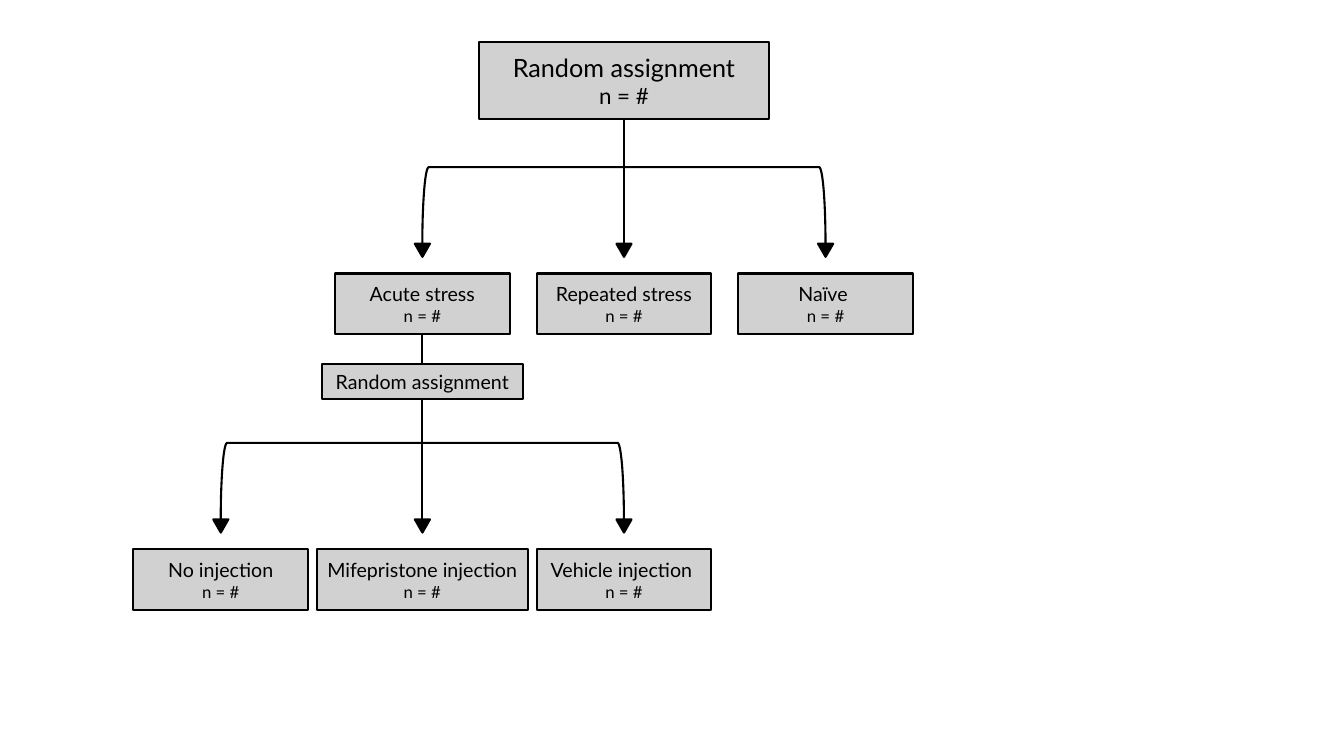
import dataclasses

import pptx
import pptx.dml.color
import pptx.enum.shapes
import pptx.enum.text
import pptx.oxml
import pptx.oxml.ns
import pptx.util

Pt = pptx.util.Pt
Shape = pptx.enum.shapes.MSO_SHAPE


@dataclasses.dataclass(frozen=True)
class Theme:
    """Colours, font, line width and type sizes of the chart."""
    ink: pptx.dml.color.RGBColor = pptx.dml.color.RGBColor(0, 0, 0)
    panel: pptx.dml.color.RGBColor = pptx.dml.color.RGBColor(0xD1, 0xD1, 0xD1)
    font: str = "Lato"
    line: float = 1.5
    root_sizes: tuple = (18, 16)
    group_sizes: tuple = (14, 12)


THEME = Theme()
COUNT = "n = #"
SPACING = 144
ARROW_WIDTH, ARROW_HEIGHT = 10.8, 9.4
BRACKET_HEIGHT = 54.7
GROUP_WIDTH, GROUP_HEIGHT = 124.8, 43.4


def add_outline(page, kind, left, top, width, height, fill=None):
    """Add a black-lined preset shape, filled only when a colour is given."""
    shape = page.shapes.add_shape(kind, Pt(left), Pt(top), Pt(width), Pt(height))
    shape.shadow.inherit = False
    shape.line.color.rgb = THEME.ink
    shape.line.width = Pt(THEME.line)
    if fill is None:
        shape.fill.background()
    else:
        shape.fill.solid()
        shape.fill.fore_color.rgb = fill
    return shape


def add_group(page, center, top, width, height, lines, sizes=THEME.group_sizes):
    """Add a grey box centred on a column, with one paragraph per line."""
    box = add_outline(page, Shape.RECTANGLE, center - width / 2, top, width, height, THEME.panel)
    frame = box.text_frame
    frame.word_wrap = True
    frame.margin_left = frame.margin_right = 0
    frame.vertical_anchor = pptx.enum.text.MSO_ANCHOR.MIDDLE
    frame.text = "\n".join(lines)
    for para, size in zip(frame.paragraphs, sizes):
        para.alignment = pptx.enum.text.PP_ALIGN.CENTER
        para.font.name = THEME.font
        para.font.size = Pt(size)
        para.font.color.rgb = THEME.ink


def add_branches(page, center, stem_top, bracket_top):
    """Add a stem that splits into three arrows, and return the arrow columns."""
    span = 2 * SPACING
    bracket = add_outline(page, Shape.RIGHT_BRACKET, center - BRACKET_HEIGHT / 2,
                          bracket_top + (BRACKET_HEIGHT - span) / 2, BRACKET_HEIGHT, span)
    bracket.rotation = 270
    stem = page.shapes.add_connector(pptx.enum.shapes.MSO_CONNECTOR.STRAIGHT, Pt(center),
                                     Pt(stem_top), Pt(center), Pt(bracket_top + 62))
    stem.line.color.rgb = THEME.ink
    stem.line.width = Pt(THEME.line)
    properties = stem._element.spPr
    properties.append(pptx.oxml.parse_xml(f'<a:effectLst {pptx.oxml.ns.nsdecls("a")}/>'))
    columns = [center + step * SPACING for step in (-1, 0, 1)]
    for column in columns:
        arrow = add_outline(page, Shape.ISOSCELES_TRIANGLE, column - ARROW_WIDTH / 2,
                            bracket_top + BRACKET_HEIGHT, ARROW_WIDTH, ARROW_HEIGHT, THEME.ink)
        arrow.rotation = 180
    return columns


def add_level(page, center, stem_top, bracket_top, groups):
    """Add branches and the named groups of given widths below them."""
    columns = add_branches(page, center, stem_top, bracket_top)
    for column, (name, width) in zip(columns, groups):
        add_group(page, column, bracket_top + 76, width, GROUP_HEIGHT, (name, COUNT))
    return columns


def add_assignment_chart(page, center, top):
    """Add the two-stage assignment chart below the given point."""
    add_group(page, center, top, 206.8, 55, ("Random assignment", COUNT), THEME.root_sizes)
    stress = [(name, GROUP_WIDTH) for name in ("Acute stress", "Repeated stress", "Naïve ")]
    acute = add_level(page, center, top + 55, top + 89.2, stress)[0]
    injections = [("No injection", GROUP_WIDTH), ("Mifepristone injection", 150.8),
                  ("Vehicle injection ", GROUP_WIDTH)]
    add_level(page, acute, top + 208.3, top + 286.1, injections)
    add_group(page, acute, top + 229.8, 143.4, 25.2, ("Random assignment",))


def main():
    """Build the deck and save it."""
    deck = pptx.Presentation()
    deck.slide_width, deck.slide_height = Pt(960), Pt(540)
    page = deck.slides.add_slide(deck.slide_layouts[6])
    add_assignment_chart(page, 445.7, 30.2)
    deck.save("out.pptx")


if __name__ == "__main__":
    main()
